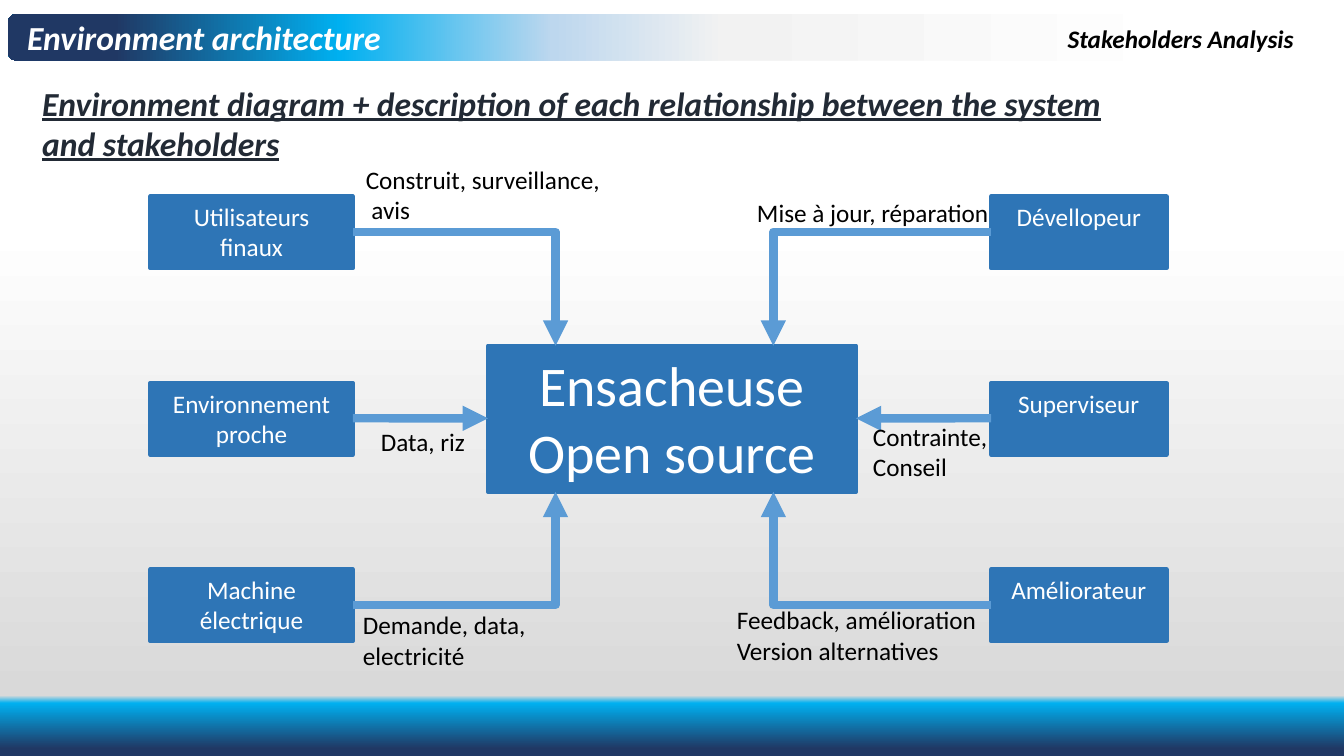
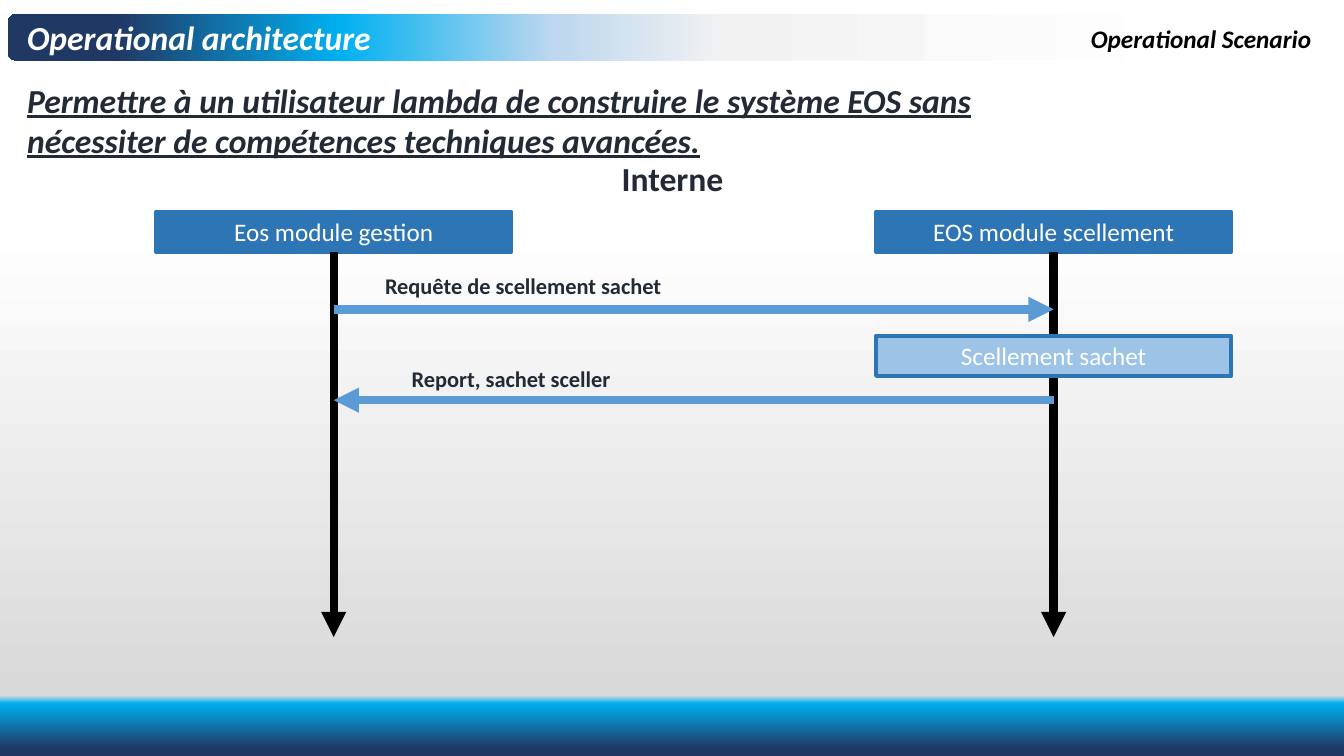
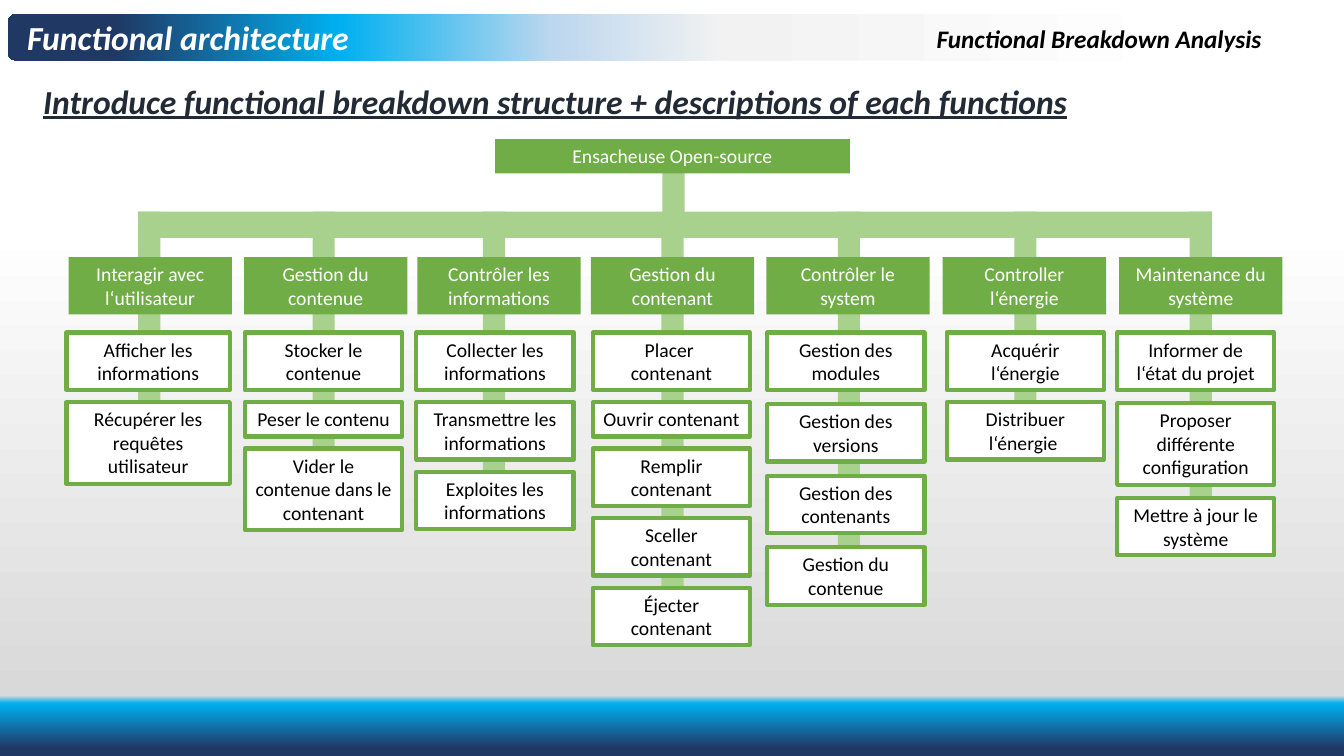
from lxml import etree
from pptx import Presentation
from pptx.dml.color import RGBColor
from pptx.enum.shapes import MSO_CONNECTOR, MSO_SHAPE
from pptx.enum.text import MSO_ANCHOR, MSO_AUTO_SIZE, PP_ALIGN
from pptx.oxml.ns import qn
from pptx.util import Inches, Pt

RECT, ROUNDED = MSO_SHAPE.RECTANGLE, MSO_SHAPE.ROUNDED_RECTANGLE
STRAIGHT, ELBOW = MSO_CONNECTOR.STRAIGHT, MSO_CONNECTOR.ELBOW
LEFT, CENTER = PP_ALIGN.LEFT, PP_ALIGN.CENTER

WIDTH, HEIGHT = 13.33, 7.5
FONT = "Calibri"
WHITE, BLACK, INK = "FFFFFF", "000000", "222A35"
BLUE, SKY, PALE_BLUE = "2E75B6", "5B9BD5", "9DC3E6"
GREEN, PALE_GREEN = "70AD47", "A9D18E"
PAGE_STOPS = [(30, WHITE), (92, "D9D9D9"), (93, "00B0F0"), (99, "203864")]
BAND_STOPS = [(11, WHITE), (46, "F2F2F2"), (59, "BDD7EE"), (75, "00B0F0"), (92, "203864")]

# Each header: title, topic, topic left, heading, heading box
ENVIRONMENT = ("Environment architecture", "Stakeholders Analysis", 10.49,
               "Environment diagram + description of each relationship between "
               "the system and stakeholders", (0.32, 0.77, 11.15, 0.91))
OPERATIONAL = ("Operational architecture", "Operational Scenario", 10.72,
               "Permettre à un utilisateur lambda de construire le système EOS sans "
               "nécessiter de compétences techniques avancées.", (0.17, 0.74, 10.4, 0.91))
FUNCTIONAL = ("Functional architecture", "Functional Breakdown Analysis", 9.19,
              "Introduce functional breakdown structure + descriptions of each functions",
              (0.33, 0.75, 11.85, 0.5))

# Stakeholders from top to bottom: name, relationship, relationship box
LEFT_ACTORS = [
    ("Utilisateurs finaux", "Construit, surveillance,\n avis", (3.53, 1.58, 3.3, 0.71)),
    ("Environnement\nproche", "Data, riz", (3.68, 4.18, 1.16, 0.4)),
    ("Machine\nélectrique", "Demande, data,\nelectricité", (3.5, 6, 2.01, 0.71)),
]
RIGHT_ACTORS = [
    ("Dévellopeur", "Mise à jour, réparation", (7.41, 1.91, 3.3, 0.4)),
    ("Superviseur", "Contrainte,\nConseil", (8.56, 4.13, 1.54, 0.71)),
    ("Améliorateur", "Feedback, amélioration\nVersion alternatives", (7.21, 5.95, 2.62, 0.71)),
]

# Modules: name, lifeline x
MODULES = [("Eos module gestion", 3.31), ("EOS module scellement", 10.45)]

# Functions: name, head left, stem left, task left, task width, task gap,
# tasks with their number of lines
FUNCTIONS = [
    ("Interagir avec l‘utilisateur", 0.68, 1.37, 0.66, 1.62, 0.12,
     [("Afficher les informations", 2), ("Récupérer les requêtes utilisateur", 3)]),
    ("Gestion du contenue", 2.42, 3.1, 2.43, 1.56, 0.12,
     [("Stocker le contenue", 2), ("Peser le contenu", 1),
      ("Vider le contenue dans le contenant", 3)]),
    ("Contrôler les informations", 4.14, 4.79, 4.13, 1.56, 0.12,
     [("Collecter les informations", 2), ("Transmettre les informations", 2),
      ("Exploites les informations", 2)]),
    ("Gestion du contenant", 5.86, 6.56, 5.88, 1.56, 0.12,
     [("Placer \ncontenant", 2), ("Ouvrir contenant", 1), ("Remplir contenant", 2),
      ("Sceller contenant", 2), ("Éjecter contenant", 2)]),
    ("Contrôler le system", 7.6, 8.31, 7.61, 1.56, 0.14,
     [("Gestion des modules", 2), ("Gestion des versions", 2),
      ("Gestion des contenants", 2), ("Gestion du contenue", 2)]),
    ("Controller l‘énergie", 9.35, 10.06, 9.39, 1.56, 0.12,
     [("Acquérir l‘énergie", 2), ("Distribuer\nl‘énergie ", 2)]),
    ("Maintenance du système", 11.1, 11.8, 11.08, 1.56, 0.13,
     [("Informer de l‘état du projet", 2), ("Proposer différente\nconfiguration", 3),
      ("Mettre à jour le système", 2)]),
]
TASK_HEIGHT = {1: 0.34, 2: 0.57, 3: 0.81}


def rgb(color):
    return RGBColor.from_string(color)


def inches(values):
    return [Inches(value) for value in values]


def set_gradient(fill, owner, stops, angle):
    """Give a fill its stops; owner is the XML element that holds the fill."""
    fill.gradient()
    fill.gradient_angle = angle
    stop_list = owner.find(".//" + qn("a:gsLst"))
    for old_stop in list(stop_list):
        stop_list.remove(old_stop)
    for percent, color in stops:
        stop = etree.SubElement(stop_list, qn("a:gs"), pos=str(percent * 1000))
        etree.SubElement(stop, qn("a:srgbClr"), val=color)


def write(shape, text, size=18, color=BLACK, align=LEFT, bold=False, italic=False,
          underline=False):
    frame = shape.text_frame
    frame.word_wrap = True
    frame.auto_size = MSO_AUTO_SIZE.SHAPE_TO_FIT_TEXT
    frame.vertical_anchor = MSO_ANCHOR.TOP
    for index, line in enumerate(text.split("\n")):
        paragraph = frame.add_paragraph() if index else frame.paragraphs[0]
        paragraph.alignment = align
        run = paragraph.add_run()
        run.text = line
        font = run.font
        font.name, font.size, font.color.rgb = FONT, Pt(size), rgb(color)
        font.bold, font.italic, font.underline = bold, italic, underline


def add_label(slide, area, text, **style):
    write(slide.shapes.add_textbox(*inches(area)), text, **style)


def add_box(slide, area, fill, outline=None, text=None, **style):
    box = slide.shapes.add_shape(RECT, *inches(area))
    box.shadow.inherit = False
    box.fill.solid()
    box.fill.fore_color.rgb = rgb(fill)
    if outline:
        box.line.color.rgb = rgb(outline)
        box.line.width = Pt(3)
    else:
        box.line.fill.background()
    if text:
        write(box, text, align=CENTER, **style)


def add_arrow(slide, start, end, color=SKY, bent=False):
    """Draw an arrow; a bent one runs across first, then up or down to its end."""
    turned = bent and end[0] < start[0]
    ends = (end, start) if turned else (start, end)
    arrow = slide.shapes.add_connector(ELBOW if bent else STRAIGHT, *inches(ends[0] + ends[1]))
    arrow.line.color.rgb = rgb(color)
    arrow.line.width = Pt(6)
    properties = arrow.element.spPr
    if turned:
        properties.find(qn("a:xfrm")).set("rot", "10800000")
    if bent:
        etree.SubElement(properties.find(".//" + qn("a:avLst")), qn("a:gd"),
                         name="adj1", fmla="val 100000")
    etree.SubElement(properties.find(qn("a:ln")), qn("a:tailEnd"), type="triangle")
    etree.SubElement(properties, qn("a:effectLst"))


def add_header(slide, title, topic, topic_left, heading, heading_area):
    band = slide.shapes.add_shape(ROUNDED, *inches((0.08, 0.14, 13.17, 0.46)))
    band.shadow.inherit = False
    band.rotation = 180
    band.line.fill.background()
    set_gradient(band.fill, band.element, BAND_STOPS, 0)
    add_label(slide, (0.17, 0.12, 7.44, 0.5), title, size=24, color=WHITE, bold=True, italic=True)
    add_label(slide, (topic_left, 0.18, 13.17 - topic_left, 0.4), topic, bold=True, italic=True)
    add_label(slide, heading_area, heading, size=24, color=INK, bold=True, italic=True,
              underline=True)


def build_environment(slide):
    add_header(slide, *ENVIRONMENT)
    left, top, width, height = core = (4.84, 3.43, 3.65, 1.45)
    add_box(slide, core, BLUE, BLUE, "Ensacheuse Open source", size=40, color=WHITE)
    # Box left, box width, side the arrows leave from, core side, bend
    sides = [(LEFT_ACTORS, 1.49, 2.01, 3.5, left, 5.51),
             (RIGHT_ACTORS, 9.83, 1.74, 9.83, left + width, 7.67)]
    for actors, box_left, box_width, exit_x, core_x, bend_x in sides:
        targets = [(bend_x, top), (core_x, 4.15), (bend_x, top + height)]
        for row, ((name, relation, area), target) in enumerate(zip(actors, targets)):
            box_top = 1.95 + 1.85 * row
            add_box(slide, (box_left, box_top, box_width, 0.71), BLUE, BLUE, name, color=WHITE)
            add_arrow(slide, (exit_x, box_top + 0.35), target, bent=row != 1)
            add_label(slide, area, relation)


def build_operational(slide):
    add_header(slide, *OPERATIONAL)
    box_width, box_height, box_top = 3.52, 0.4, 2.1
    for name, x in MODULES:
        add_box(slide, (x - box_width / 2, box_top, box_width, box_height), BLUE, BLUE, name,
                color=WHITE)
        add_arrow(slide, (x, box_top + box_height), (x, 6.32), BLACK)
    manager_x, sealer_x = [x for _, x in MODULES]
    add_label(slide, (5.88, 1.52, 1.58, 0.81), "Interne", size=24, color=INK, align=CENTER,
              bold=True)
    add_arrow(slide, (manager_x, 3.07), (sealer_x, 3.07))
    add_box(slide, (sealer_x - box_width / 2, 3.33, box_width, box_height), PALE_BLUE, BLUE,
            "Scellement sachet", color=WHITE)
    add_arrow(slide, (sealer_x, 3.97), (manager_x, 3.97))
    for text, area in [("Requête de scellement sachet", (3.3, 2.65, 3.78, 0.67)),
                       ("Report, sachet sceller", (3.18, 3.57, 3.78, 0.37))]:
        add_label(slide, area, text, size=16, color=INK, align=CENTER, bold=True)


def build_functional(slide):
    add_header(slide, *FUNCTIONAL)
    bar_top, stem_width = 2.1, 0.22
    add_box(slide, (6.57, 1.6, stem_width, 0.6), PALE_GREEN)
    add_box(slide, (4.91, 1.38, 3.52, 0.34), GREEN, text="Ensacheuse Open-source", size=14,
            color=WHITE)
    add_box(slide, (1.37, bar_top, 10.65, 0.26), PALE_GREEN)
    for name, head_left, stem_left, task_left, task_width, gap, tasks in FUNCTIONS:
        task_areas, top = [], 3.3
        for _, lines in tasks:
            task_areas.append((task_left, top, task_width, TASK_HEIGHT[lines]))
            top += TASK_HEIGHT[lines] + gap
        last_top = task_areas[-1][1]
        add_box(slide, (stem_left, bar_top, stem_width, last_top + 0.2 - bar_top), PALE_GREEN)
        add_box(slide, (head_left, 2.55, 1.62, 0.57), GREEN, text=name, size=14, color=WHITE)
        for (task, _), area in zip(tasks, task_areas):
            add_box(slide, area, WHITE, GREEN, task, size=14)


def main():
    deck = Presentation()
    deck.slide_width, deck.slide_height = inches((WIDTH, HEIGHT))
    master = deck.slide_master
    set_gradient(master.background.fill, master.element, PAGE_STOPS, 270)
    blank = deck.slide_layouts[6]
    for build in (build_environment, build_operational, build_functional):
        build(deck.slides.add_slide(blank))
    deck.save("out.pptx")


if __name__ == "__main__":
    main()
